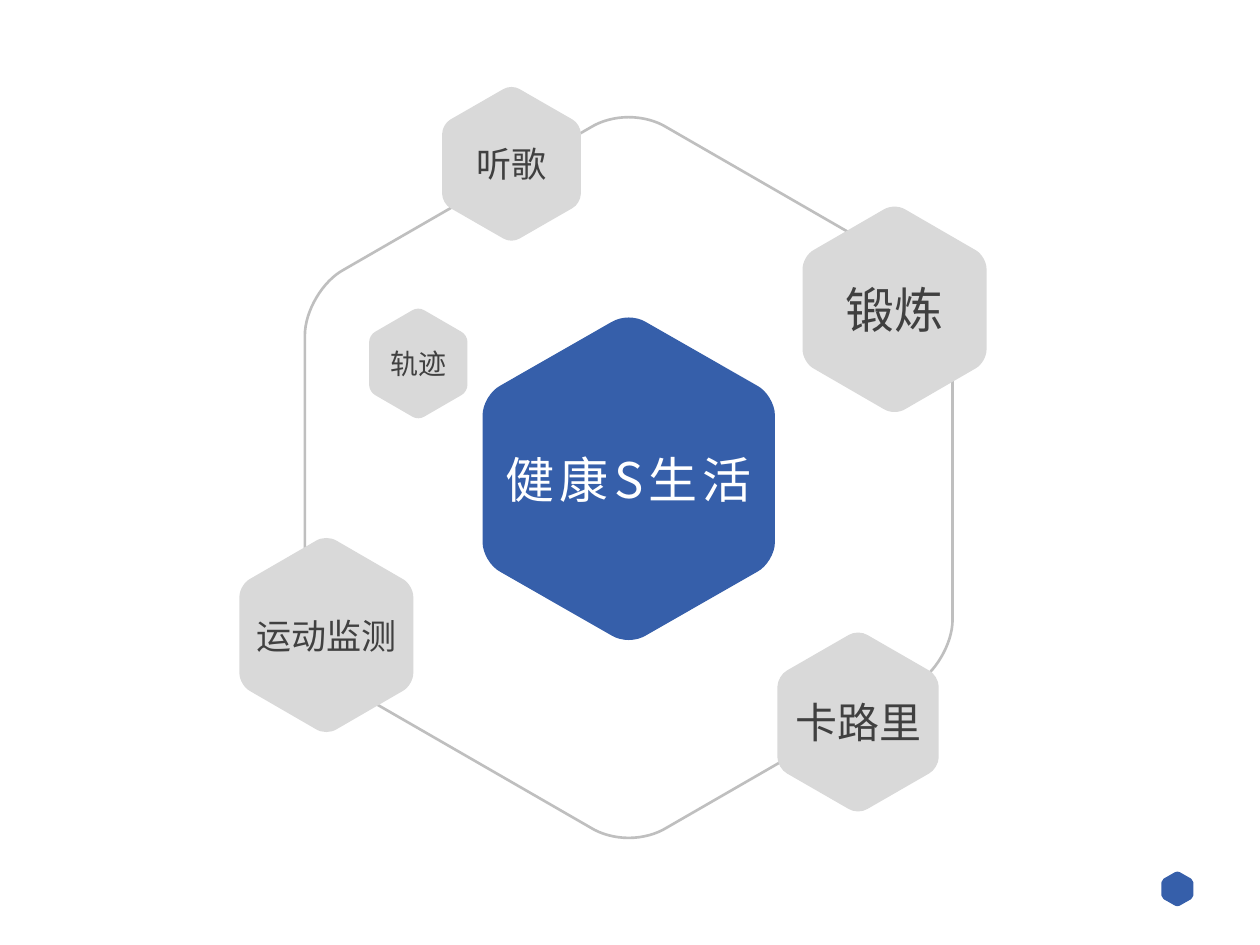
from dataclasses import dataclass

from lxml import etree
from pptx import Presentation
from pptx.dml.color import RGBColor
from pptx.enum.text import MSO_ANCHOR, PP_ALIGN
from pptx.oxml.ns import qn
from pptx.util import Inches, Pt


@dataclass(frozen=True)
class Theme:
    font: str = "Noto Sans CJK SC"
    blue: RGBColor = RGBColor(0x36, 0x5F, 0xAA)
    grey: RGBColor = RGBColor(0xD9, 0xD9, 0xD9)
    ring: RGBColor = RGBColor(0xBF, 0xBF, 0xBF)
    dark: RGBColor = RGBColor(0x40, 0x40, 0x40)
    white: RGBColor = RGBColor(0xFF, 0xFF, 0xFF)
    small: int = 16
    medium: int = 20
    large: int = 24
    huge: int = 28


THEME = Theme()

# Bezier corners of the upper right quarter, measured on a box of this size
UNIT_WIDTH, UNIT_HEIGHT = 5.14, 5.72
TOP_CORNER = ((2.57, 0), (2.68, 0), (2.79, 0.03), (2.87, 0.08))
SIDE_CORNER = ((4.83, 1.21), (5, 1.3), (5.14, 1.54), (5.14, 1.73))

# text, box (left, top, width, height), type size
SATELLITES = (
    ("听歌", (3.51, 0.69, 1.10, 1.22), THEME.medium),
    ("锻炼", (6.37, 1.64, 1.46, 1.63), THEME.huge),
    ("轨迹", (2.93, 2.45, 0.78, 0.87), THEME.small),
    ("运动监测", (1.90, 4.27, 1.38, 1.54), THEME.medium),
    ("卡路里", (6.17, 5.02, 1.28, 1.42), THEME.large),
)


def hexagon_curves(width, height):
    """Eight corner curves, mirrored from one quarter, clockwise from the top."""
    quarter = [(x / UNIT_WIDTH, y / UNIT_HEIGHT) for x, y in TOP_CORNER + SIDE_CORNER]
    right = quarter + [(x, 1 - y) for x, y in reversed(quarter)]
    outline = right + [(1 - x, y) for x, y in reversed(right)]
    points = [(int(x * width), int(y * height)) for x, y in outline]
    return [points[i:i + 4] for i in range(0, len(points), 4)]


def bend_corners(hexagon, curves):
    """Turn the straight line across each corner into a cubic curve."""
    lines = list(hexagon._element.iter(qn("a:lnTo")))
    for line, controls in zip(lines[::2], curves):
        curve = etree.Element(qn("a:cubicBezTo"))
        for x, y in controls[1:]:
            etree.SubElement(curve, qn("a:pt"), x=str(x), y=str(y))
        line.getparent().replace(line, curve)
    bottom_joint = lines[len(curves) - 1]
    bottom_joint.getparent().remove(bottom_joint)


def add_hexagon(page, box, fill=None, line=None, line_width=1.5):
    left, top, width, height = (Inches(length) for length in box)
    curves = hexagon_curves(width, height)
    corners = [(left + x, top + y)
               for curve in curves for x, y in (curve[0], curve[3])]
    builder = page.shapes.build_freeform(*corners[0])
    builder.add_line_segments(corners[1:], close=True)
    hexagon = builder.convert_to_shape()
    bend_corners(hexagon, curves)
    hexagon.shadow.inherit = False
    if fill is None:
        hexagon.fill.background()
    else:
        hexagon.fill.solid()
        hexagon.fill.fore_color.rgb = fill
    if line is None:
        hexagon.line.fill.background()
    else:
        hexagon.line.color.rgb = line
        hexagon.line.width = Pt(line_width)
    return hexagon


def write_label(hexagon, text, size, color, spacing=0):
    frame = hexagon.text_frame
    frame.text = text
    frame.word_wrap = True
    frame.vertical_anchor = MSO_ANCHOR.MIDDLE
    para = frame.paragraphs[0]
    para.alignment = PP_ALIGN.CENTER
    span = para.runs[0]
    span.font.size = Pt(size)
    span.font.name = THEME.font
    span.font.color.rgb = color
    properties = span.font._element
    east_asian = properties.makeelement(qn("a:ea"), {"typeface": THEME.font})
    properties.find(qn("a:latin")).addnext(east_asian)
    if spacing:
        properties.set("spc", str(spacing * 100))


def add_hub(page, box):
    hub = add_hexagon(page, box, fill=THEME.blue)
    write_label(hub, "健康S生活", THEME.huge, THEME.white, spacing=3)


def add_satellites(page):
    for text, box, size in SATELLITES:
        satellite = add_hexagon(page, box, fill=THEME.grey)
        write_label(satellite, text, size, THEME.dark)


def main():
    deck = Presentation()
    deck.slide_width, deck.slide_height = Inches(10), Inches(7.5)
    page = deck.slides.add_slide(deck.slide_layouts[6])
    add_hexagon(page, (9.23, 6.93, 0.23, 0.25), THEME.blue, THEME.blue, 1.75)
    add_hexagon(page, (2.42, 0.93, 5.14, 5.72), line=THEME.ring)
    add_hub(page, (3.83, 2.52, 2.32, 2.56))
    add_satellites(page)
    deck.save("out.pptx")


if __name__ == "__main__":
    main()
